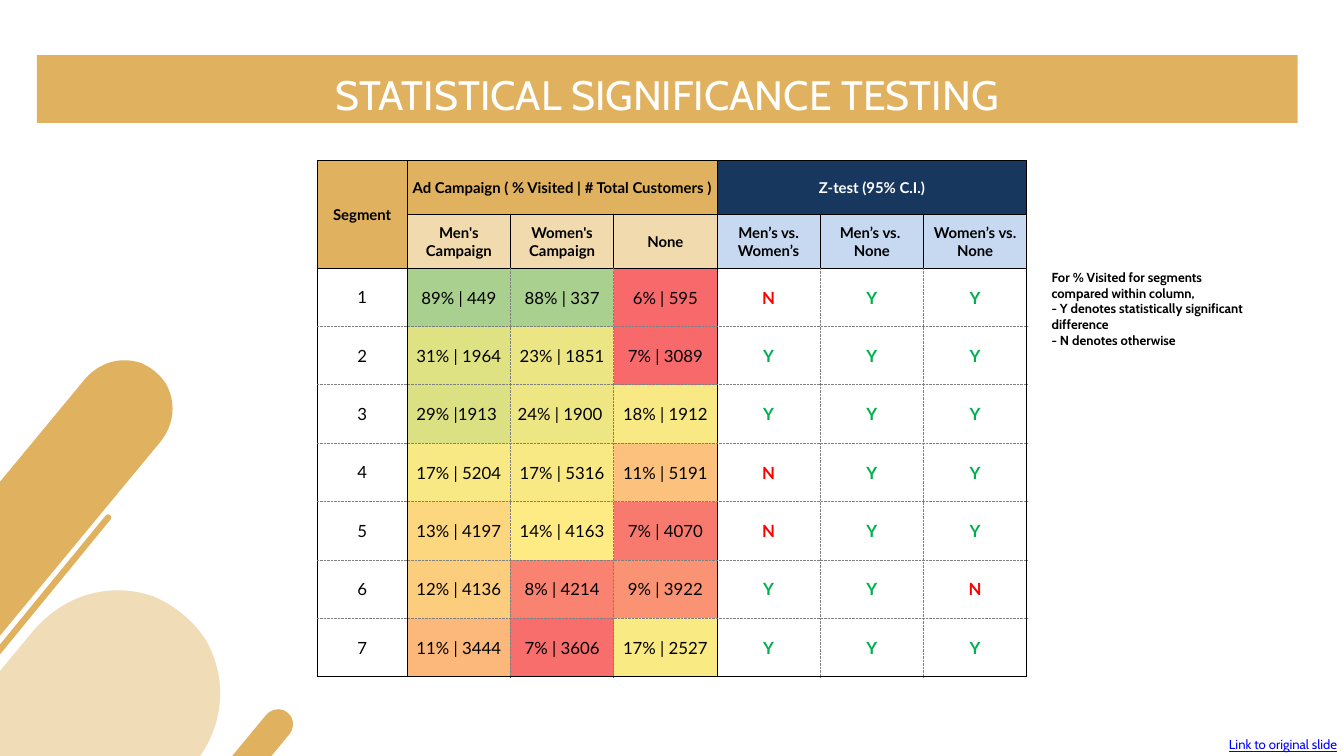
"""Builds the slide on statistical significance testing of ad campaigns."""
import lxml.etree
import pptx
import pptx.dml.color
import pptx.enum.shapes
import pptx.enum.text
import pptx.oxml.ns
import pptx.util

RGB = pptx.dml.color.RGBColor
ALIGN = pptx.enum.text.PP_ALIGN
ANCHOR = pptx.enum.text.MSO_ANCHOR
PX = pptx.util.Inches(1) // 100

GOLD = RGB(0xE0, 0xB1, 0x5E)
CREAM = RGB(0xF1, 0xDA, 0xAD)
NAVY = RGB(0x17, 0x37, 0x5E)
SKY = RGB(0xC6, 0xD9, 0xF1)
WHITE = RGB(255, 255, 255)
BLACK = RGB(0, 0, 0)
GREY = RGB(0x80, 0x80, 0x80)
RED = RGB(255, 0, 0)
GREEN = RGB(0, 0xB0, 0x50)
BLUE = RGB(0, 0, 255)

TITLE = "STATISTICAL SIGNIFICANCE TESTING"
LINK = "Link to original slide"
NOTE = [
    "For % Visited for segments compared within column,",
    "- Y denotes statistically significant difference",
    "- N denotes otherwise",
]
GROUPS = [
    (0, 0, 1, 0, "Segment", GOLD, BLACK),
    (0, 1, 0, 3, "Ad Campaign ( % Visited | # Total Customers )", GOLD, BLACK),
    (0, 4, 0, 6, "Z-test (95% C.I.)", NAVY, WHITE),
]
HEADS = [
    (["Men's Campaign"], CREAM),
    (["Women's Campaign"], CREAM),
    (["None"], CREAM),
    (["Men’s vs. Women’s"], SKY),
    (["Men’s vs. ", "None"], SKY),
    (["Women’s vs. None"], SKY),
]
ROWS = [
    ("89% | 449", "88% | 337", "6% | 595", "NYY"),
    ("31% | 1964", "23% | 1851", "7% | 3089", "YYY"),
    ("29% |1913 ", "24% | 1900 ", "18% | 1912", "YYY"),
    ("17% | 5204", "17% | 5316", "11% | 5191", "NYY"),
    ("13% | 4197", "14% | 4163", "7% | 4070", "NYY"),
    ("12% | 4136", "8% | 4214", "9% | 3922", "YYN"),
    ("11% | 3444", "7% | 3606", "17% | 2527", "YYY"),
]
HEAT = [
    ("A9D08E", "A9D08E", "F8696B"),
    ("DFE283", "EBE683", "F8696B"),
    ("DBE182", "EDE683", "F8E984"),
    ("F8E984", "F8E984", "FCC17C"),
    ("FDD780", "FFEB84", "F87A6E"),
    ("FDCD7E", "F98370", "FA9373"),
    ("FCB87A", "F86E6C", "FAEA84"),
]
PILLS = [
    ((-144, 820, 311, 816), 39.7, 44),
    ((-100, 460, 146, 808), 39.6, 100),
    ((329, 1033, 45, 240), 39.6, 100),
]
CURVE = [(0, 0), (0.12, 0), (0.23, 0.02), (0.33, 0.05), (0.72, 0.2), (1, 0.56), (1, 1.06)]
STRIPE = (-221, 1236, 161, 770)

BOX = (472, 239, 1056, 768)
FIRST, HEAD = 134, 80
SOLID = (0, 1, 4, 7)


def emu(*sizes):
    return [round(size * PX) for size in sizes]


def tag(name):
    return pptx.oxml.ns.qn("a:" + name)


def write(frame, lines, size=18, font="Lato", color=BLACK, bold=False,
          under=False, align=ALIGN.CENTER, space=None):
    frame.word_wrap = True
    for spot, line in enumerate(lines):
        para = frame.add_paragraph() if spot else frame.paragraphs[0]
        para.alignment = align
        para.line_spacing = space
        run = para.add_run()
        run.text = line
        run.font.size = pptx.util.Pt(size)
        run.font.name = font
        run.font.color.rgb = color
        run.font.bold = bold
        run.font.underline = under


def add_note(slide, box, lines, **form):
    frame = slide.shapes.add_textbox(*emu(*box)).text_frame
    write(frame, lines, size=14, font="Cabin", **form)
    frame.auto_size = pptx.enum.text.MSO_AUTO_SIZE.SHAPE_TO_FIT_TEXT


def add_edge(cell, side, solid):
    props = cell._tc.get_or_add_tcPr()
    edge = lxml.etree.SubElement(props, tag("ln" + side), w="12700")
    fill = lxml.etree.SubElement(edge, tag("solidFill"))
    lxml.etree.SubElement(fill, tag("srgbClr"), val=str(BLACK if solid else GREY))
    lxml.etree.SubElement(edge, tag("prstDash"), val="solid" if solid else "sysDot")


def fill_cell(cell, lines, fill=None, **form):
    if fill is None:
        cell.fill.background()
    else:
        cell.fill.solid()
        cell.fill.fore_color.rgb = fill
    write(cell.text_frame, lines, **form)


def add_grid(slide):
    rows, cols = len(ROWS) + 2, len(HEADS) + 1
    table = slide.shapes.add_table(rows, cols, *emu(*BOX)).table
    table.first_row = table.horz_banding = False
    for col in range(cols):
        table.columns[col].width = emu((BOX[2] - FIRST) / (cols - 1) if col else FIRST)[0]
    for row in range(rows):
        table.rows[row].height = emu(HEAD if row < 2 else (BOX[3] - 2 * HEAD) / len(ROWS))[0]
        for col in range(cols):
            cell = table.cell(row, col)
            cell.vertical_anchor = ANCHOR.MIDDLE
            cell.margin_left = cell.margin_right = cell.margin_top = PX
            cell.margin_bottom = 0 if col or row < 2 else PX
            add_edge(cell, "L", row < 2 or col in SOLID)
            add_edge(cell, "R", row < 2 or col + 1 in SOLID)
            add_edge(cell, "T", row <= 2)
            add_edge(cell, "B", row < 2 or row + 1 == rows)
    for top, left, low, right, text, fill, color in GROUPS:
        table.cell(top, left).merge(table.cell(low, right))
        fill_cell(table.cell(top, left), [text], fill, size=16, bold=True, color=color)
    for col, (lines, fill) in enumerate(HEADS, 1):
        fill_cell(table.cell(1, col), lines, fill, size=16, bold=True)
    for num, (row, heat) in enumerate(zip(ROWS, HEAT), 1):
        fill_cell(table.cell(num + 1, 0), [str(num)])
        for col, (text, fill) in enumerate(zip(row, heat), 1):
            fill_cell(table.cell(num + 1, col), [text], RGB.from_string(fill))
        for col, mark in enumerate(row[-1], 4):
            fill_cell(table.cell(num + 1, col), [mark], bold=True,
                      color=GREEN if mark == "Y" else RED)


def paint(shape, alpha=100):
    shape.shadow.inherit = False
    shape.fill.solid()
    shape.fill.fore_color.rgb = GOLD
    shape.line.fill.background()
    if alpha < 100:
        tint = shape._element.spPr.find(".//" + tag("srgbClr"))
        lxml.etree.SubElement(tint, tag("alpha"), val=str(alpha * 1000))


def add_pill(slide, box, turn, alpha):
    left, top, width, height = box
    half = width / 2
    right = [(half + half * x, half * y) for x, y in CURVE]
    mirror = [(width - x, y) for x, y in reversed(right)]
    dots = [emu(left + x, top + y)
            for x, y in right + [(width, height), (0, height)] + mirror]
    pen = slide.shapes.build_freeform(*dots[0], scale=1.0)
    pen.add_line_segments(dots[1:], close=True)
    shape = pen.convert_to_shape()
    lines = list(shape._element.iter(tag("lnTo")))
    bends = lines[:6] + lines[9:15]
    for spot in range(0, len(bends), 3):
        bend = lxml.etree.Element(tag("cubicBezTo"))
        bends[spot].addprevious(bend)
        for line in bends[spot:spot + 3]:
            bend.append(line[0])
            line.getparent().remove(line)
    shape.rotation = turn
    paint(shape, alpha)


def main():
    deck = pptx.Presentation()
    deck.slide_width, deck.slide_height = emu(2000, 1125)
    slide = deck.slides.add_slide(deck.slide_layouts[6])

    band = slide.shapes.add_shape(pptx.enum.shapes.MSO_SHAPE.RECTANGLE, *emu(55, 82, 1876, 101))
    paint(band)
    frame = band.text_frame
    frame.vertical_anchor = ANCHOR.MIDDLE
    frame.margin_left = frame.margin_right = frame.margin_top = frame.margin_bottom = 6 * PX
    write(frame, [TITLE], size=44, font="Cabin", color=WHITE, space=1.2)

    add_grid(slide)
    add_note(slide, (1555, 396, 328, 128), NOTE, bold=True, align=ALIGN.LEFT)

    for box, turn, alpha in PILLS:
        add_pill(slide, box, turn, alpha)

    stripe = slide.shapes.add_connector(pptx.enum.shapes.MSO_CONNECTOR.STRAIGHT, *emu(*STRIPE))
    stripe.line.color.rgb = GOLD
    stripe.line.width = pptx.util.Pt(6.75)
    stripe._element.spPr.find(tag("ln")).set("cap", "rnd")
    lxml.etree.SubElement(stripe._element.spPr, tag("effectLst"))

    add_note(slide, (1357, 1091, 643, 34), [LINK], color=BLUE, under=True, align=ALIGN.RIGHT)
    deck.save("out.pptx")


if __name__ == "__main__":
    main()
